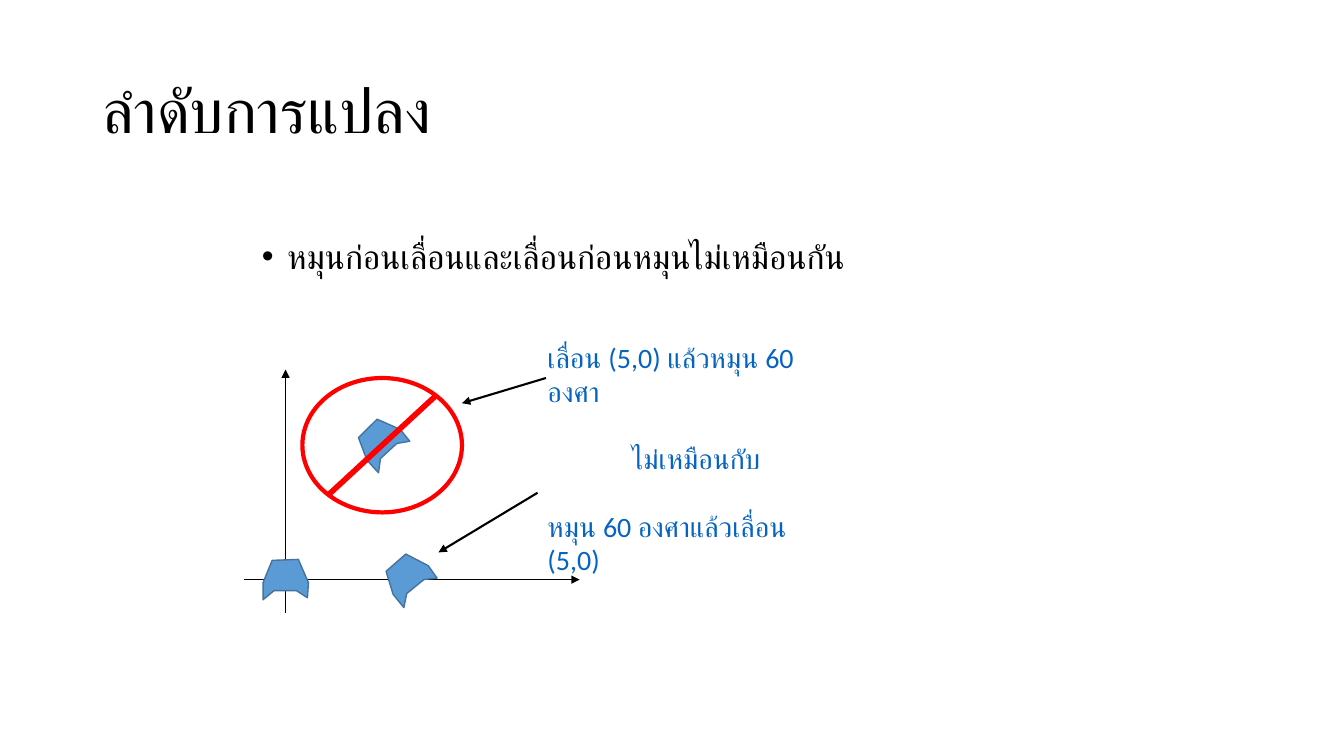
from lxml import etree
from pptx import Presentation
from pptx.dml.color import RGBColor
from pptx.enum import shapes, text
from pptx.oxml import ns
from pptx.util import Pt

HOUSE_OUTLINE = [(0, 16.6), (0, 28.8), (7.9, 22.3), (23.8, 22.3),
                 (31.7, 27.4), (32.4, 16.6), (25.2, 0), (6.5, 0.7)]
HOUSES = [(187.9, 399.6, 0), (256.3, 301.7, 317.3), (275.8, 398.2, 320.9)]
AXES = [(174, 414, 414, 414), (204, 438, 204, 264)]
POINTERS = [(390, 270, 330, 288), (384, 352, 313.2, 394.6)]


def color(value):
    return RGBColor.from_string(value)


def add_element(parent, tag, **attributes):
    return etree.SubElement(parent, ns.qn(tag), **attributes)


def add_text(slide, left, top, width, height, lines, size, fill,
             anchor=text.MSO_ANCHOR.TOP, line_spacing=1.0, gap=0):
    box = slide.shapes.add_textbox(Pt(left), Pt(top), Pt(width), Pt(height))
    frame = box.text_frame
    frame.word_wrap = True
    frame.vertical_anchor = anchor
    frame.text = "\n".join(lines)
    for index, paragraph in enumerate(frame.paragraphs):
        paragraph.line_spacing = line_spacing
        if index:
            paragraph.space_before = Pt(gap)
        for run in paragraph.runs:
            run.font.name = "Calibri"
            run.font.size = Pt(size)
            run.font.color.rgb = color(fill)
    return frame


def indent(paragraph, margin, first_line=0, bullet=None):
    properties = paragraph._p.get_or_add_pPr()
    properties.set("marL", str(Pt(margin)))
    properties.set("indent", str(Pt(first_line)))
    if bullet:
        add_element(properties, "a:buFont", typeface="Arial")
        add_element(properties, "a:buChar", char=bullet)


def add_line(slide, points, stroke, width, arrow=False):
    line = slide.shapes.add_connector(
        shapes.MSO_CONNECTOR.STRAIGHT, *[Pt(value) for value in points])
    line.line.color.rgb = color(stroke)
    line.line.width = Pt(width)
    if arrow:
        add_element(line.line._get_or_add_ln(), "a:tailEnd", type="triangle")
    add_element(line._element.spPr, "a:effectLst")


def add_house(slide, left, top, rotation):
    points = [(Pt(x), Pt(y)) for x, y in HOUSE_OUTLINE]
    builder = slide.shapes.build_freeform(*points[0])
    builder.add_line_segments(points[1:])
    house = builder.convert_to_shape(Pt(left), Pt(top))
    house.rotation = rotation
    house.shadow.inherit = False
    house.fill.solid()
    house.fill.fore_color.rgb = color("5B9BD5")
    house.line.color.rgb = color("43739E")
    house.line.width = Pt(1)


def add_forbidden_sign(slide):
    add_line(slide, (312, 282, 234, 354), "FF0000", 4)
    ring = slide.shapes.add_shape(
        shapes.MSO_SHAPE.OVAL, Pt(216), Pt(270), Pt(114), Pt(96))
    ring.shadow.inherit = False
    ring.fill.background()
    ring.line.color.rgb = color("FF0000")
    ring.line.width = Pt(3)


def main():
    presentation = Presentation()
    presentation.slide_width = Pt(960)
    presentation.slide_height = Pt(540)
    slide = presentation.slides.add_slide(presentation.slide_layouts[6])

    add_text(slide, 66, 28.8, 828, 104.4, ["ลำดับการแปลง"], 44, "000000",
             anchor=text.MSO_ANCHOR.MIDDLE, line_spacing=0.9)
    statement = add_text(slide, 180, 168, 612, 324,
                         ["หมุนก่อนเลื่อนและเลื่อนก่อนหมุนไม่เหมือนกัน"],
                         24, "000000", line_spacing=0.9)
    indent(statement.paragraphs[0], 18, -18, "•")

    for axis in AXES:
        add_line(slide, axis, "000000", 0.75, arrow=True)
    comparison = add_text(slide, 384, 240, 201.6, 128,
                          ["เลื่อน (5,0) แล้วหมุน 60 องศา", "ไม่เหมือนกับ",
                           "หมุน 60 องศาแล้วเลื่อน (5,0)"],
                          20, "0563C1", gap=24)
    indent(comparison.paragraphs[1], 60)

    for house in HOUSES:
        add_house(slide, *house)
    add_forbidden_sign(slide)
    for pointer in POINTERS:
        add_line(slide, pointer, "000000", 1.5, arrow=True)

    presentation.save("out.pptx")


if __name__ == "__main__":
    main()
